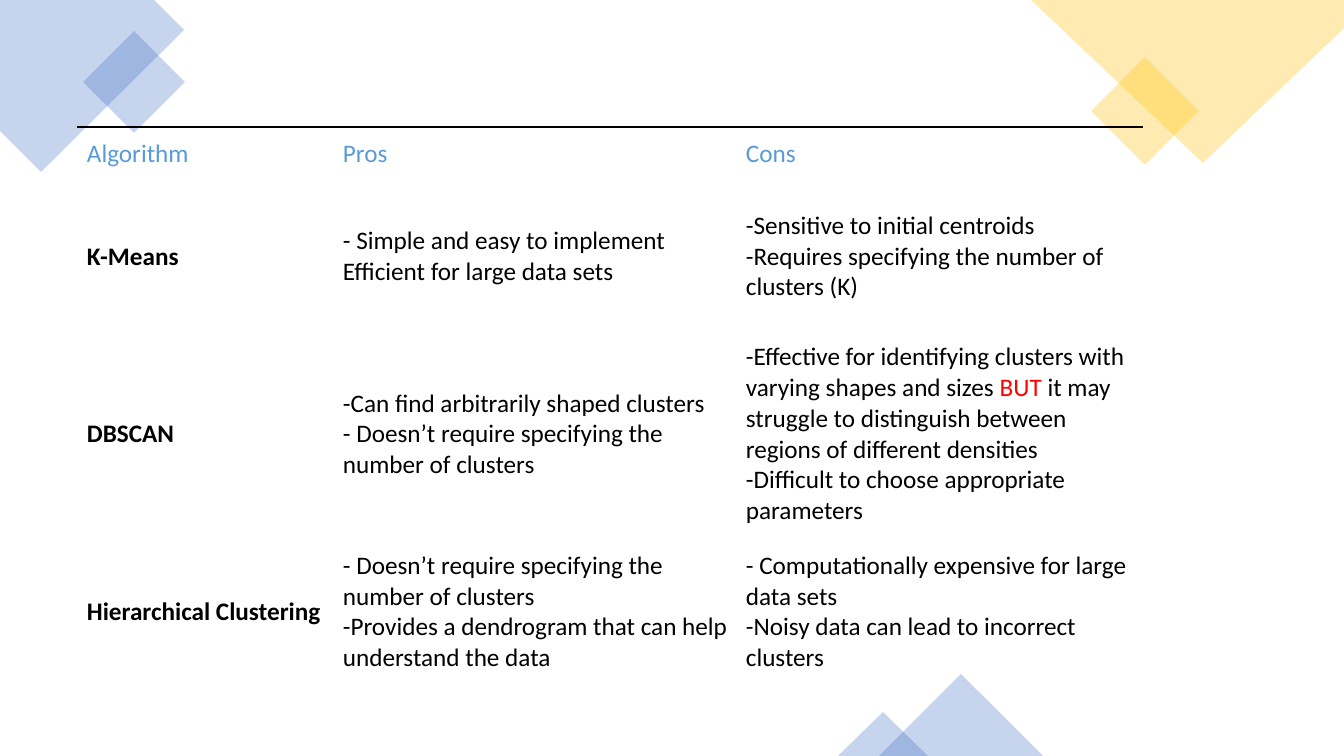
import pptx
import pptx.util
import pptx.dml.color
import pptx.enum.shapes
import pptx.enum.text
import pptx.oxml.ns
from lxml import etree

THEME = {
    "blue": "4472C4",
    "yellow": "FFC000",
    "header": "5B9BD5",
    "text": "000000",
    "alert": "FF0000",
    "opacity": 30,
    "font": "Calibri",
    "size": 18,
}
EMU_PER_PX = 914400 / 100.8
NO_GRID_STYLE = "{2D5ABB26-0587-4C30-8999-92F81FD0307C}"
MSO_SHAPE = pptx.enum.shapes.MSO_SHAPE
qn = pptx.oxml.ns.qn


def px(n):
    return pptx.util.Emu(round(n * EMU_PER_PX))


def tint(sp, colour):
    sp.shadow.inherit = False
    sp.line.fill.background()
    sp.fill.solid()
    sp.fill.fore_color.rgb = pptx.dml.color.RGBColor.from_string(THEME[colour])
    clr = sp.fill._xPr.find(qn("a:solidFill")).find(qn("a:srgbClr"))
    etree.SubElement(clr, qn("a:alpha"), val=str(THEME["opacity"] * 1000))


prs = pptx.Presentation()
prs.slide_width, prs.slide_height = px(1344), px(756)
s = prs.slides.add_slide(prs.slide_layouts[6])

corners = [
    ("blue", [(154, 0), (0, 0), (0, 131), (41, 172), (184, 30)]),
    ("yellow", [(1344, 0), (1031, 0), (1203, 163), (1344, 28)]),
]
for colour, points in corners:
    builder = s.shapes.build_freeform(*points[0], scale=EMU_PER_PX)
    builder.add_line_segments(points[1:], close=True)
    tint(builder.convert_to_shape(), colour)

accents = [
    (MSO_SHAPE.RECTANGLE, "blue", 98, 46, 72, 72, 315),
    (MSO_SHAPE.RECTANGLE, "yellow", 1107, 73, 76, 76, 315),
    (MSO_SHAPE.ISOSCELES_TRIANGLE, "blue", 879, 674, 164, 82, 0),
    (MSO_SHAPE.ISOSCELES_TRIANGLE, "blue", 838, 712, 90, 44, 0),
]
for kind, colour, x, y, w, h, angle in accents:
    sp = s.shapes.add_shape(kind, px(x), px(y), px(w), px(h))
    sp.rotation = angle
    tint(sp, colour)

rows = [
    [["Algorithm"], ["Pros"], ["Cons"]],
    [
        ["K-Means"],
        ["- Simple and easy to implement Efficient for large data sets"],
        ["-Sensitive to initial centroids",
         "-Requires specifying the number of clusters (K)"],
    ],
    [
        ["DBSCAN"],
        ["-Can find arbitrarily shaped clusters",
         "- Doesn’t require specifying the number of clusters"],
        ["-Effective for identifying clusters with varying shapes and sizes "
         "|BUT| it may struggle to distinguish between regions of different densities",
         "-Difficult to choose appropriate parameters"],
    ],
    [
        ["Hierarchical Clustering"],
        ["- Doesn’t require specifying the number of clusters",
         "-Provides a dendrogram that can help understand the data"],
        ["- Computationally expensive for large data sets",
         "-Noisy data can lead to incorrect clusters"],
    ],
]
col_widths = [256, 403, 407]
row_heights = [59, 147, 147, 147]

frame = s.shapes.add_table(len(rows), len(col_widths), px(77), px(127),
                           px(sum(col_widths)), px(sum(row_heights)))
table = frame.table
table.first_row = False
table.horz_banding = False
table._tbl.tblPr.find(qn("a:tableStyleId")).text = NO_GRID_STYLE
for column, width in zip(table.columns, col_widths):
    column.width = px(width)
for row, height in zip(table.rows, row_heights):
    row.height = px(height)

for i, row in enumerate(rows):
    for j, paragraphs in enumerate(row):
        cell = table.cell(i, j)
        cell.vertical_anchor = pptx.enum.text.MSO_ANCHOR.MIDDLE
        cell.margin_left, cell.margin_top = px(10), px(9)
        cell.margin_right, cell.margin_bottom = px(7), px(15)
        if i == 0:
            edge = etree.SubElement(cell._tc.get_or_add_tcPr(), qn("a:lnT"), w="12700")
            fill = etree.SubElement(edge, qn("a:solidFill"))
            etree.SubElement(fill, qn("a:srgbClr"), val=THEME["text"])
        cell.fill.background()
        tf = cell.text_frame
        for k, text in enumerate(paragraphs):
            p = tf.paragraphs[0] if k == 0 else tf.add_paragraph()
            for n, part in enumerate(text.split("|")):
                r = p.add_run()
                r.text = part
                r.font.name = THEME["font"]
                r.font.size = pptx.util.Pt(THEME["size"])
                r.font.bold = i > 0 and j == 0
                colour = "header" if i == 0 else "alert" if n == 1 else "text"
                r.font.color.rgb = pptx.dml.color.RGBColor.from_string(THEME[colour])

prs.save("out.pptx")
